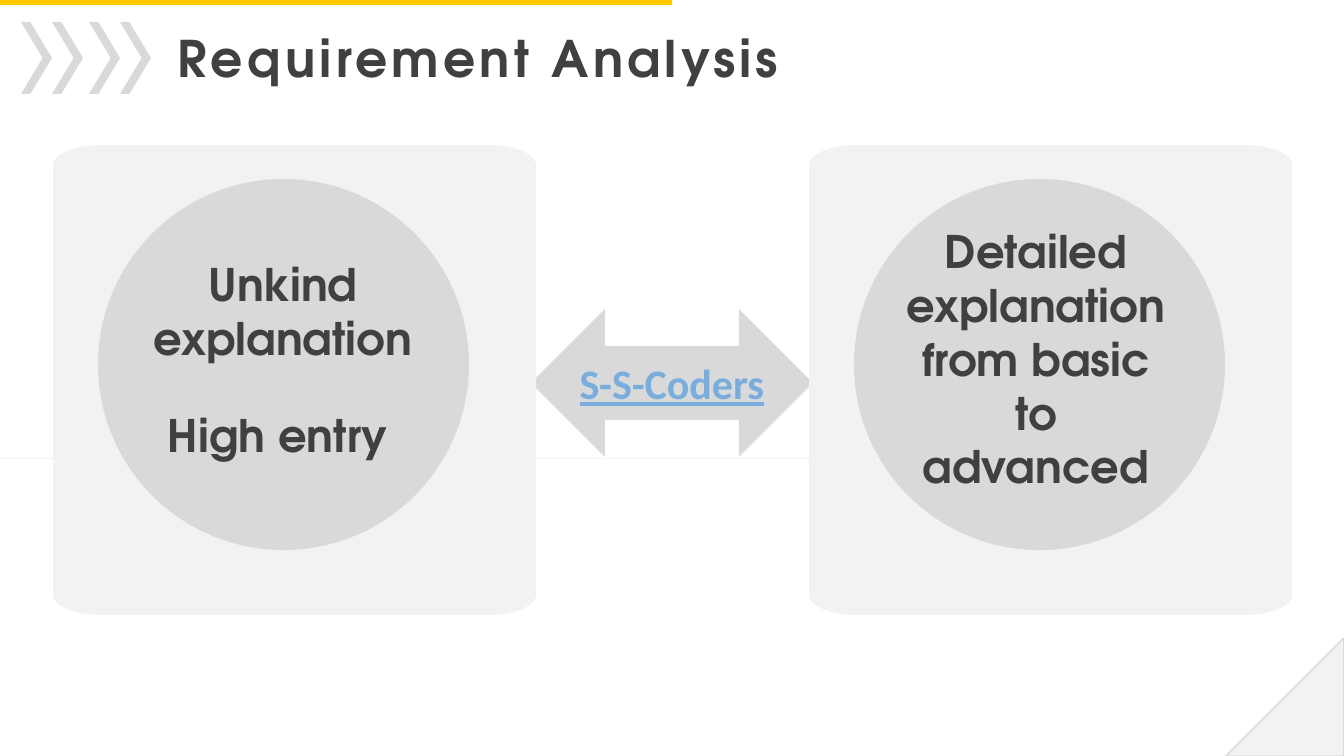
import math
from lxml import etree
from pptx import Presentation, util as u
from pptx.dml.color import RGBColor
from pptx.enum import shapes, text
from pptx.oxml.ns import qn

PX = 914400 / 100.8
DARK, GREY, PALE = "404040", "D9D9D9", "F2F2F2"
FONT = "TeX Gyre Adventor"
KIND = shapes.MSO_SHAPE


def paint(shape, fill, line=None):
    """Give a shape a flat fill, an optional 1 pt line and no shadow."""
    shape.shadow.inherit = False
    shape.fill.solid()
    shape.fill.fore_color.rgb = RGBColor.from_string(fill)
    if line:
        shape.line.color.rgb = RGBColor.from_string(line)
        shape.line.width = u.Pt(1)
    else:
        shape.line.fill.background()
    return shape


def write(shape, words, size, font=FONT, color=DARK, align=text.PP_ALIGN.CENTER):
    """Put one bold paragraph into a shape and return it."""
    para = shape.text_frame.paragraphs[0]
    para.text = words
    para.alignment = align
    para.font.size = u.Pt(size)
    para.font.name = font
    para.font.bold = True
    para.font.color.rgb = RGBColor.from_string(color)
    return para


deck = Presentation()
deck.slide_width, deck.slide_height = round(1344 * PX), round(756 * PX)
slide = deck.slides.add_slide(deck.slide_layouts[6])
items = slide.shapes

# Corner, top bar and rule
fold = items.add_shape(KIND.RIGHT_TRIANGLE, *[round(n * PX) for n in (1226, 638, 118, 118)])
paint(fold, PALE, GREY)
fold._element.spPr.xfrm.set("flipH", "1")
bar = items.add_shape(KIND.RECTANGLE, 0, 0, round(672 * PX), round(5 * PX))
paint(bar, "FEC800")
rule = items.add_connector(shapes.MSO_CONNECTOR.STRAIGHT,
                           *[round(n * PX) for n in (0, 458, 860, 458)])
rule.line.color.rgb = RGBColor.from_string(PALE)
rule.line.width = u.Pt(0.5)
etree.SubElement(rule._element.spPr, qn("a:effectLst"))

# Heading
for left in (21, 52, 89, 120):
    mark = items.add_shape(KIND.CHEVRON, *[round(n * PX) for n in (left, 22, 31, 72)])
    mark.adjustments[0] = 0.7
    paint(mark, GREY)
title = items.add_textbox(*[round(n * PX) for n in (156, 22, 633, 72)])
title.text_frame.word_wrap = False
head = write(title, "Requirement Analysis", 36, align=text.PP_ALIGN.RIGHT)
head.runs[0]._r.get_or_add_rPr().set("spc", "300")

# Arrow between the cards
arrow = items.add_shape(KIND.LEFT_RIGHT_ARROW, *[round(n * PX) for n in (531, 309, 282, 148)])
paint(arrow, GREY)
write(arrow, "S-S-Coders", 30, "Calibri", "78ADDD").font.underline = True

# Cards with elliptical corners, each holding a disc
wide, high, rx, ry = 483, 470, 48, 20
for left in (53, 809):
    edge = []
    for turn, (cx, cy) in enumerate([(wide - rx, high - ry), (rx, high - ry),
                                     (rx, ry), (wide - rx, ry)]):
        for step in range(13):
            angle = math.radians(90 * turn + 7.5 * step)
            edge.append((round((left + cx + rx * math.cos(angle)) * PX),
                         round((145 + cy + ry * math.sin(angle)) * PX)))
    card = items.build_freeform(*edge[0], scale=1.0)
    card.add_line_segments(edge[1:], close=True)
    paint(card.convert_to_shape(), PALE)
    disc = items.add_shape(KIND.OVAL, *[round(n * PX) for n in (left + 45, 179, 371, 371)])
    paint(disc, GREY)

for left, top, high, words in (
    (139, 252, 119, "Unkind explanation"),
    (134, 403, 65, "High entry"),
    (892, 219, 281, "Detailed explanation from basic to advanced"),
):
    note = items.add_textbox(*[round(n * PX) for n in (left, top, 288, high)])
    note.text_frame.word_wrap = True
    write(note, words, 32)

deck.save("out.pptx")
